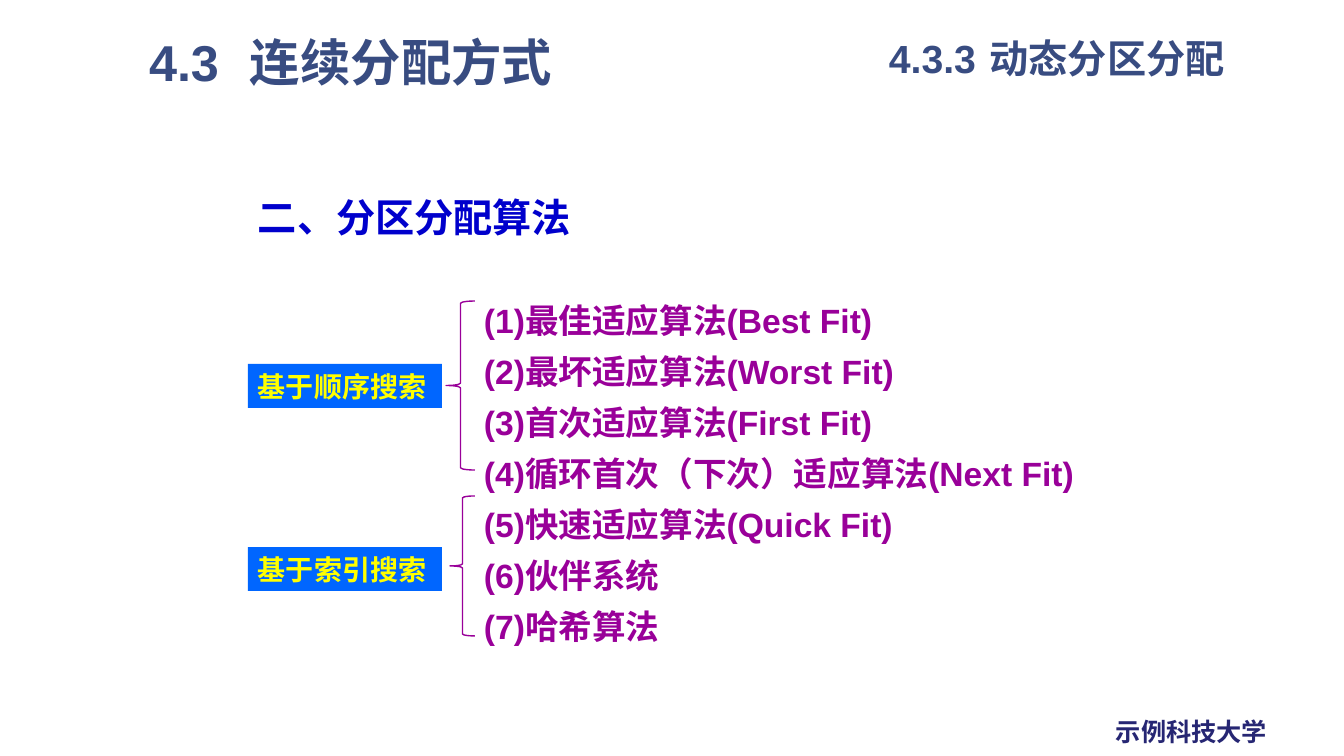
from pptx import Presentation
from pptx import util as u
from pptx.dml import color
from pptx.enum import shapes, text
from pptx.oxml import ns
from lxml import etree

SCALE = 914400 / 100.8
FONT = "Arial"
NAVY, BLUE, PURPLE = "384C81", "0000CC", "990099"
ROW = 51
ALGORITHMS = [
    "最佳适应算法(Best Fit)",
    "最坏适应算法(Worst Fit)",
    "首次适应算法(First Fit)",
    "循环首次（下次）适应算法(Next Fit)",
    "快速适应算法(Quick Fit)",
    "伙伴系统",
    "哈希算法",
]


def px(length):
    """Turn pixels into EMU."""
    return u.Emu(round(length * SCALE))


def rgb(value):
    """Turn a hex string into a colour."""
    return color.RGBColor.from_string(value)


def write(paragraph, content, size, colour, line=None, before=0, indent=0, tab=None):
    """Write bold text into a paragraph with its spacing, indent and tab stop."""
    run = paragraph.add_run()
    run.text = content
    run.font.name, run.font.size, run.font.bold = FONT, u.Pt(size), True
    run.font.color.rgb = rgb(colour)
    paragraph.alignment = text.PP_ALIGN.LEFT
    paragraph.space_before = px(before)
    if line:
        paragraph.line_spacing = px(line)
    properties = paragraph._p.get_or_add_pPr()
    properties.set("marL", str(px(indent)))
    properties.set("indent", "0")
    if tab:
        stops = etree.SubElement(properties, ns.qn("a:tabLst"))
        etree.SubElement(stops, ns.qn("a:tab"), pos=str(px(tab)), algn="l")


def prepare_frame(shape, anchor=text.MSO_ANCHOR.MIDDLE, wrap=True):
    """Set the margins of a shape's text and return its frame."""
    frame = shape.text_frame
    frame.word_wrap = wrap
    frame.vertical_anchor = anchor
    frame.margin_left = frame.margin_right = px(10)
    frame.margin_top = frame.margin_bottom = 0
    return frame


def add_caption(slide, box, content, size, colour, **layout):
    """Add a text box that holds one line."""
    shape = slide.shapes.add_textbox(*map(px, box))
    frame = prepare_frame(shape, wrap=False)
    write(frame.paragraphs[0], content, size, colour, **layout)


def add_label(slide, top, content):
    """Add a blue label for a group of algorithms."""
    box = map(px, (248, top, 194, 44))
    shape = slide.shapes.add_shape(shapes.MSO_SHAPE.RECTANGLE, *box)
    shape.shadow.inherit = False
    shape.fill.solid()
    shape.fill.fore_color.rgb = rgb("0066FF")
    shape.line.fill.background()
    write(prepare_frame(shape).paragraphs[0], content, 20, "FFFF00")


def add_brace(slide, box):
    """Add a thin left brace."""
    shape = slide.shapes.add_shape(shapes.MSO_SHAPE.LEFT_BRACE, *map(px, box))
    shape.shadow.inherit = False
    shape.adjustments[0] = 0.08
    shape.fill.background()
    shape.line.color.rgb = rgb(PURPLE)
    shape.line.width = u.Pt(1)


def add_algorithms(slide):
    """Add the heading and the numbered algorithms below it."""
    shape = slide.shapes.add_textbox(*map(px, (248, 179, 874, 483)))
    frame = prepare_frame(shape, text.MSO_ANCHOR.TOP)
    write(frame.paragraphs[0], "二、分区分配算法", 28, BLUE, line=61)
    for number, name in enumerate(ALGORITHMS, 1):
        write(frame.add_paragraph(), f"({number}){name}", 24, PURPLE,
              line=ROW, before=49 if number == 1 else 0, indent=226)


def main():
    """Build the slide and save it."""
    presentation = Presentation()
    presentation.slide_width = px(1344)
    presentation.slide_height = px(756)
    slide = presentation.slides.add_slide(presentation.slide_layouts[6])
    add_caption(slide, (1106, 711, 173, 40), "示例科技大学", 18, "262673")
    add_algorithms(slide)
    add_brace(slide, (450, 496, 25, 140))
    add_brace(slide, (446, 301, 29, 169))
    add_label(slide, 364, "基于顺序搜索")
    add_label(slide, 547, "基于索引搜索")
    add_caption(slide, (879, 34, 397, 48), "4.3.3\t动态分区分配", 28, NAVY, tab=119)
    add_caption(slide, (139, 31, 508, 61), "4.3\t连续分配方式", 36, NAVY, tab=110)
    presentation.save("out.pptx")


if __name__ == "__main__":
    main()
